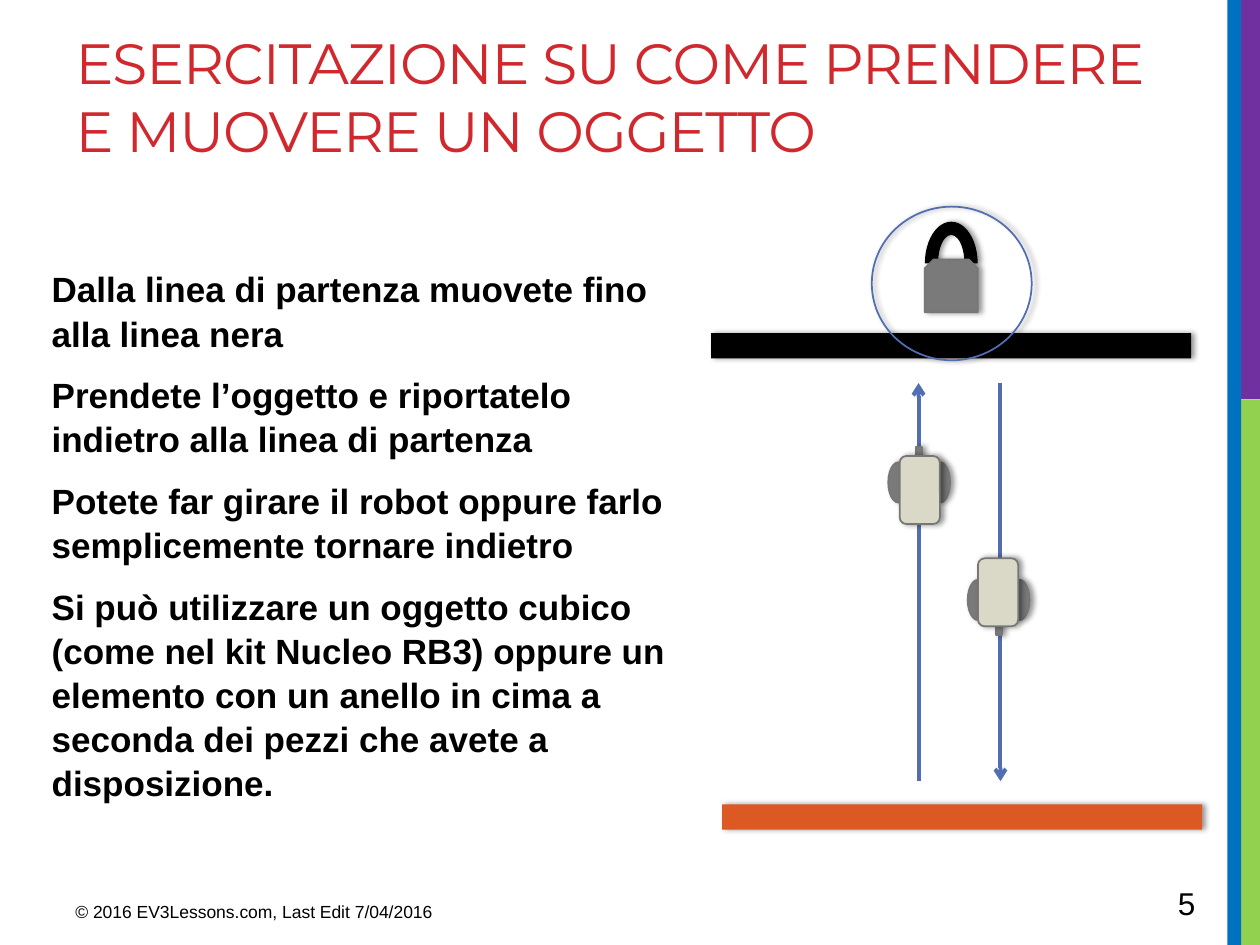
"""Build the slide of the pick-up-and-move robot exercise."""
from dataclasses import dataclass
from typing import Optional

from lxml import etree
from pptx import Presentation
from pptx.dml.color import RGBColor
from pptx.enum import shapes, text
from pptx.oxml.ns import qn
from pptx.util import Pt

Kind = shapes.MSO_SHAPE


@dataclass(frozen=True)
class Theme:
    red: str = "D1282E"
    black: str = "000000"
    orange: str = "DC5924"
    gray: str = "7A7A7A"
    edge: str = "777777"
    cream: str = "DAD9C8"
    route: str = "526DB0"
    blue: str = "0070C0"
    purple: str = "7030A0"
    green: str = "92D050"
    title_font: str = "Montserrat"
    text_font: str = "Arial"
    title_size: float = 32.4
    body_size: float = 20
    number_size: float = 18
    footer_size: float = 10


@dataclass(frozen=True)
class Box:
    left: float
    top: float
    width: float
    height: float

    def moved(self, dx: float, dy: float) -> "Box":
        return Box(self.left + dx, self.top + dy, self.width, self.height)

    def lengths(self) -> tuple:
        return Pt(self.left), Pt(self.top), Pt(self.width), Pt(self.height)


@dataclass(frozen=True)
class Part:
    kind: Kind
    box: Box
    fill: Optional[str]
    line: Optional[str] = None
    shadow: bool = True


@dataclass(frozen=True)
class Robot:
    left: float
    top: float
    rotation: float


@dataclass(frozen=True)
class Route:
    x: float
    start: float
    end: float


THEME = Theme()

STRIPS = [
    Part(Kind.RECTANGLE, Box(705.6, 0, 14.4, 228.2), THEME.purple, shadow=False),
    Part(Kind.RECTANGLE, Box(708.5, 228.2, 11.5, 311.8), THEME.green, shadow=False),
    Part(Kind.RECTANGLE, Box(701.3, 0, 7.9, 540), THEME.blue, shadow=False),
]
FIELD = [
    Part(Kind.RECTANGLE, Box(406.4, 190.4, 274.3, 14.4), THEME.black),
    Part(Kind.RECTANGLE, Box(412.6, 459.7, 274.3, 14.4), THEME.orange),
    Part(Kind.BLOCK_ARC, Box(528.5, 126.7, 30.2, 47.5), THEME.black),
    Part(Kind.SNIP_2_SAME_RECTANGLE, Box(528.5, 148.3, 30.2, 30.2), THEME.gray, THEME.edge),
]
TARGET = Part(Kind.OVAL, Box(498.2, 118.1, 91.4, 87.8), None, THEME.route)
ROUTES = [Route(524.9, 446.4, 218.9), Route(571.7, 218.9, 446.4)]
ROBOT_PARTS = [
    Part(Kind.OVAL, Box(0, 8.6, 11.5, 23), THEME.gray, THEME.edge),
    Part(Kind.OVAL, Box(23.8, 8.6, 11.5, 23), THEME.gray, THEME.edge),
    Part(Kind.RECTANGLE, Box(15.8, 0, 3.6, 10.1), THEME.gray, THEME.edge),
    Part(Kind.ROUNDED_RECTANGLE, Box(6.5, 5, 23, 38.9), THEME.cream, THEME.edge),
]
ROBOTS = [Robot(507.6, 255.6, 0), Robot(553, 319, 180)]

TITLE = "ESERCITAZIONE SU COME PRENDERE E MUOVERE UN OGGETTO"
STEPS = [
    "Dalla linea di partenza muovete fino alla linea nera",
    "Prendete l’oggetto e riportatelo indietro alla linea di partenza",
    "Potete far girare il robot oppure farlo semplicemente tornare indietro",
    "Si può utilizzare un oggetto cubico (come nel kit Nucleo RB3) oppure un "
    "elemento con un anello in cima a seconda dei pezzi che avete a disposizione.",
]


def style(paragraph, size: float, color: str, name: str = THEME.text_font,
          bold: bool = False) -> None:
    """Set the font of a whole paragraph."""
    font = paragraph.font
    font.name, font.size, font.bold = name, Pt(size), bold
    font.color.rgb = RGBColor.from_string(color)


def place(holder, box: Box):
    """Position a text shape and return its top-anchored frame."""
    holder.left, holder.top, holder.width, holder.height = box.lengths()
    frame = holder.text_frame
    frame.word_wrap = True
    frame.auto_size = text.MSO_AUTO_SIZE.NONE
    frame.vertical_anchor = text.MSO_ANCHOR.TOP
    return frame


def draw_part(canvas, part: Part) -> None:
    """Draw one preset shape with its fill, outline and shadow."""
    shape = canvas.add_shape(part.kind, *part.box.lengths())
    if part.fill:
        shape.fill.solid()
        shape.fill.fore_color.rgb = RGBColor.from_string(part.fill)
    else:
        shape.fill.background()
    if part.line:
        shape.line.color.rgb = RGBColor.from_string(part.line)
        shape.line.width = Pt(1)
    else:
        shape.line.fill.background()
    shape.shadow.inherit = False
    if part.shadow:
        effects = shape._element.spPr.find(qn("a:effectLst"))
        outer = etree.SubElement(effects, qn("a:outerShdw"), blurRad=str(Pt(3.1)),
                                 dist=str(Pt(1.8)), dir="0", rotWithShape="0")
        color = etree.SubElement(outer, qn("a:srgbClr"), val=THEME.black)
        etree.SubElement(color, qn("a:alpha"), val="40000")


def draw_route(canvas, route: Route) -> None:
    """Draw a vertical arrow."""
    arrow = canvas.add_connector(shapes.MSO_CONNECTOR.STRAIGHT, Pt(route.x), Pt(route.start),
                                 Pt(route.x), Pt(route.end))
    arrow.line.color.rgb = RGBColor.from_string(THEME.route)
    arrow.line.width = Pt(2.25)
    etree.SubElement(arrow.line._get_or_add_ln(), qn("a:tailEnd"), type="arrow")
    etree.SubElement(arrow._element.spPr, qn("a:effectLst"))


def draw_robot(canvas, robot: Robot) -> None:
    """Draw a grouped robot seen from above."""
    group = canvas.add_group_shape()
    for part in ROBOT_PARTS:
        draw_part(group.shapes, Part(part.kind, part.box.moved(robot.left, robot.top),
                                     part.fill, part.line))
    group.rotation = robot.rotation


def write_title(holder) -> None:
    """Write the slide title."""
    frame = place(holder, Box(36, 12.2, 649.4, 108))
    frame.text = TITLE
    heading = frame.paragraphs[0]
    heading.alignment = text.PP_ALIGN.LEFT
    style(heading, THEME.title_size, THEME.red, THEME.title_font)
    heading.font._element.set("spc", "-60")


def write_steps(holder) -> None:
    """Write the exercise steps without bullets."""
    frame = place(holder, Box(22.3, 148.3, 372.2, 314.6))
    frame.text = "\n".join(STEPS)
    for index, step in enumerate(frame.paragraphs):
        properties = step._p.get_or_add_pPr()
        properties.set("marL", "0")
        properties.set("indent", "0")
        etree.SubElement(properties, qn("a:buNone"))
        step.line_spacing = 1.05
        step.space_before = Pt(4 if index else 0)
        step.space_after = Pt(6)
        style(step, THEME.body_size, THEME.black, bold=True)


def write_label(canvas, words: str, box: Box, size: float) -> None:
    """Write a single line in a text box."""
    frame = place(canvas.add_textbox(*box.lengths()), box)
    frame.text = words
    style(frame.paragraphs[0], size, THEME.black)


def main() -> None:
    """Build and save the slide."""
    deck = Presentation()
    deck.slide_width, deck.slide_height = Pt(720), Pt(540)
    slide = deck.slides.add_slide(deck.slide_layouts[1])
    canvas = slide.shapes
    for strip in STRIPS:
        draw_part(canvas, strip)
    write_title(canvas.title)
    write_steps(slide.placeholders[1])
    write_label(canvas, "© 2016 EV3Lessons.com, Last Edit 7/04/2016",
                Box(36, 511.2, 270, 22.3), THEME.footer_size)
    write_label(canvas, "5", Box(666, 501.8, 49.7, 28.8), THEME.number_size)
    for part in FIELD:
        draw_part(canvas, part)
    for route in ROUTES:
        draw_route(canvas, route)
    draw_part(canvas, TARGET)
    for robot in ROBOTS:
        draw_robot(canvas, robot)
    deck.save("out.pptx")


if __name__ == "__main__":
    main()
